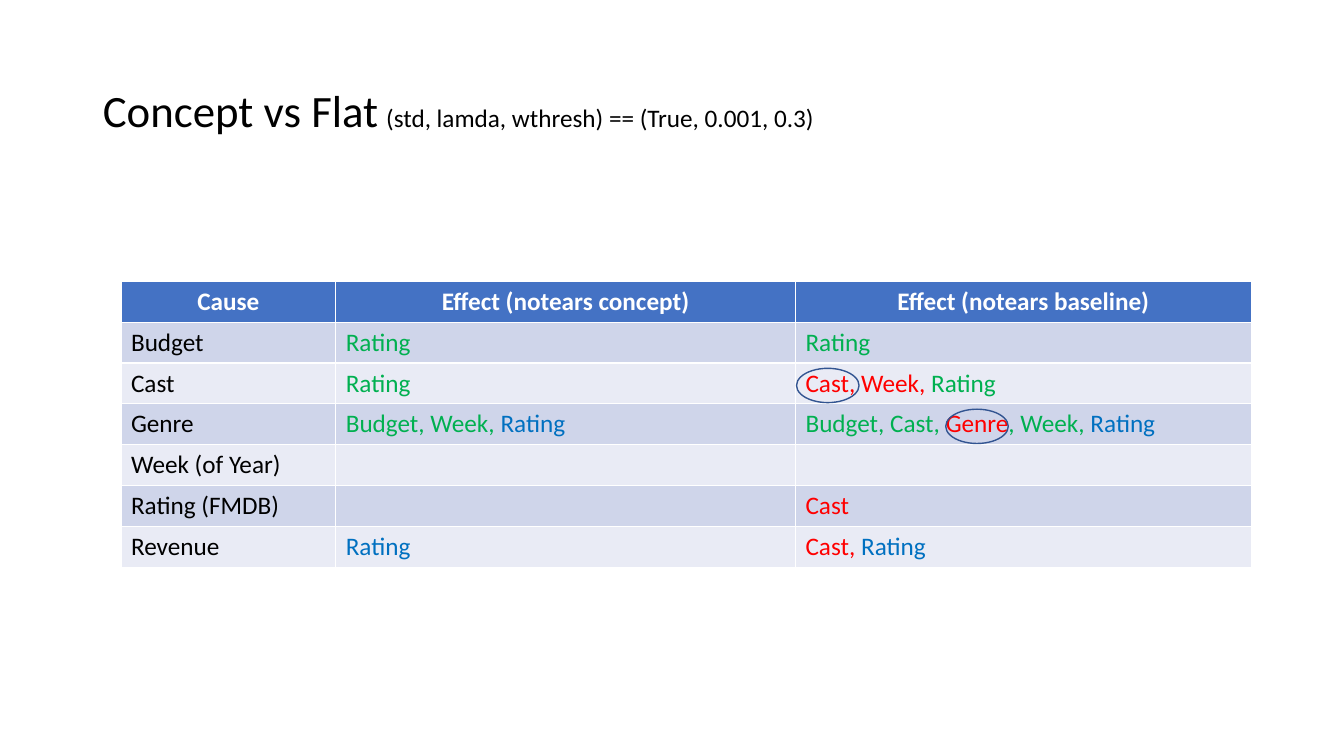
"""Build a slide comparing cause and effect links of the concept and baseline models."""
from dataclasses import dataclass
from itertools import accumulate

from pptx import Presentation
from pptx.dml.color import RGBColor
from pptx.enum.shapes import MSO_SHAPE
from pptx.enum.text import MSO_ANCHOR, MSO_AUTO_SIZE, PP_ALIGN
from pptx.util import Inches, Pt


@dataclass(frozen=True)
class Theme:
    font: str = "Calibri"
    title_size: int = 32
    gap_size: int = 24
    body_size: int = 18
    black: str = "000000"
    white: str = "FFFFFF"
    green: str = "00B050"
    red: str = "FF0000"
    blue: str = "0070C0"
    header: str = "4472C4"
    bands: tuple = ("CFD5EA", "E9EBF5")
    ring: str = "325491"


theme = Theme()


def style(font, size, color, bold=False):
    font.name, font.size, font.bold = theme.font, Pt(size), bold
    font.color.rgb = RGBColor.from_string(color)


def fill_cell(cell, pieces, background, bold=False, align=PP_ALIGN.LEFT):
    cell.fill.solid()
    cell.fill.fore_color.rgb = RGBColor.from_string(background)
    paragraph = cell.text_frame.paragraphs[0]
    paragraph.alignment = align
    paragraph.font.size = Pt(theme.body_size)
    for words, color in pieces:
        piece = paragraph.add_run()
        piece.text = words
        style(piece.font, theme.body_size, color, bold)


deck = Presentation()
deck.slide_width, deck.slide_height = Inches(13.33), Inches(7.5)
slide = deck.slides.add_slide(deck.slide_layouts[5])

heading = slide.shapes.title
heading.left, heading.top = Inches(0.92), Inches(0.4)
heading.width, heading.height = Inches(11.5), Inches(1.45)
heading.text_frame.vertical_anchor = MSO_ANCHOR.MIDDLE
heading.text_frame.auto_size = MSO_AUTO_SIZE.NONE
heading.text_frame.word_wrap = True
heading_line = heading.text_frame.paragraphs[0]
heading_line.alignment = PP_ALIGN.LEFT
heading_line.line_spacing = 0.9
for words, size in (
    ("Concept vs Flat", theme.title_size),
    (" ", theme.gap_size),
    ("(std, lamda, wthresh) == (True, 0.001, 0.3)", theme.body_size),
):
    part = heading_line.add_run()
    part.text = words
    style(part.font, size, theme.black)

headers = ("Cause", "Effect (notears concept)", "Effect (notears baseline)")
green, red, blue = theme.green, theme.red, theme.blue
effects = {
    "Budget": ([("Rating", green)], [("Rating", green)]),
    "Cast": ([("Rating", green)], [("Cast, Week, ", red), ("Rating", green)]),
    "Genre": (
        [("Budget, Week, ", green), ("Rating", blue)],
        [("Budget, Cast, ", green), ("Genre", red), (", Week, ", green), ("Rating", blue)],
    ),
    "Week (of Year)": ([], []),
    "Rating (FMDB)": ([], [("Cast", red)]),
    "Revenue": ([("Rating", blue)], [("Cast, ", red), ("Rating", blue)]),
}

left, top, height = 1.2, 2.79, 2.84
column_widths = (2.13, 4.56, 4.52)
row_count = len(effects) + 1
row_height = height / row_count
column_lefts = list(accumulate(column_widths, initial=left))
comparison = slide.shapes.add_table(
    row_count, len(headers), Inches(left), Inches(top),
    Inches(sum(column_widths)), Inches(height),
).table
for column, width in zip(comparison.columns, column_widths):
    column.width = Inches(width)

for column, header in enumerate(headers):
    fill_cell(comparison.cell(0, column), [(header, theme.white)],
              theme.header, True, PP_ALIGN.CENTER)
for row, (cause, outcomes) in enumerate(effects.items(), start=1):
    band = theme.bands[(row - 1) % 2]
    for column, pieces in enumerate(([(cause, theme.black)], *outcomes)):
        fill_cell(comparison.cell(row, column), pieces, band)

ring_width, ring_height, ring_drop = 0.62, 0.34, 0.02
for cause, offset in (("Cast", 0.01), ("Genre", 1.49)):
    row = list(effects).index(cause) + 1
    ring_top = top + (row + 0.5) * row_height - ring_height / 2 + ring_drop
    self_loop = slide.shapes.add_shape(
        MSO_SHAPE.OVAL, Inches(column_lefts[2] + offset), Inches(ring_top),
        Inches(ring_width), Inches(ring_height),
    )
    self_loop.shadow.inherit = False
    self_loop.fill.background()
    self_loop.line.color.rgb = RGBColor.from_string(theme.ring)
    self_loop.line.width = Pt(1)

deck.save("out.pptx")
